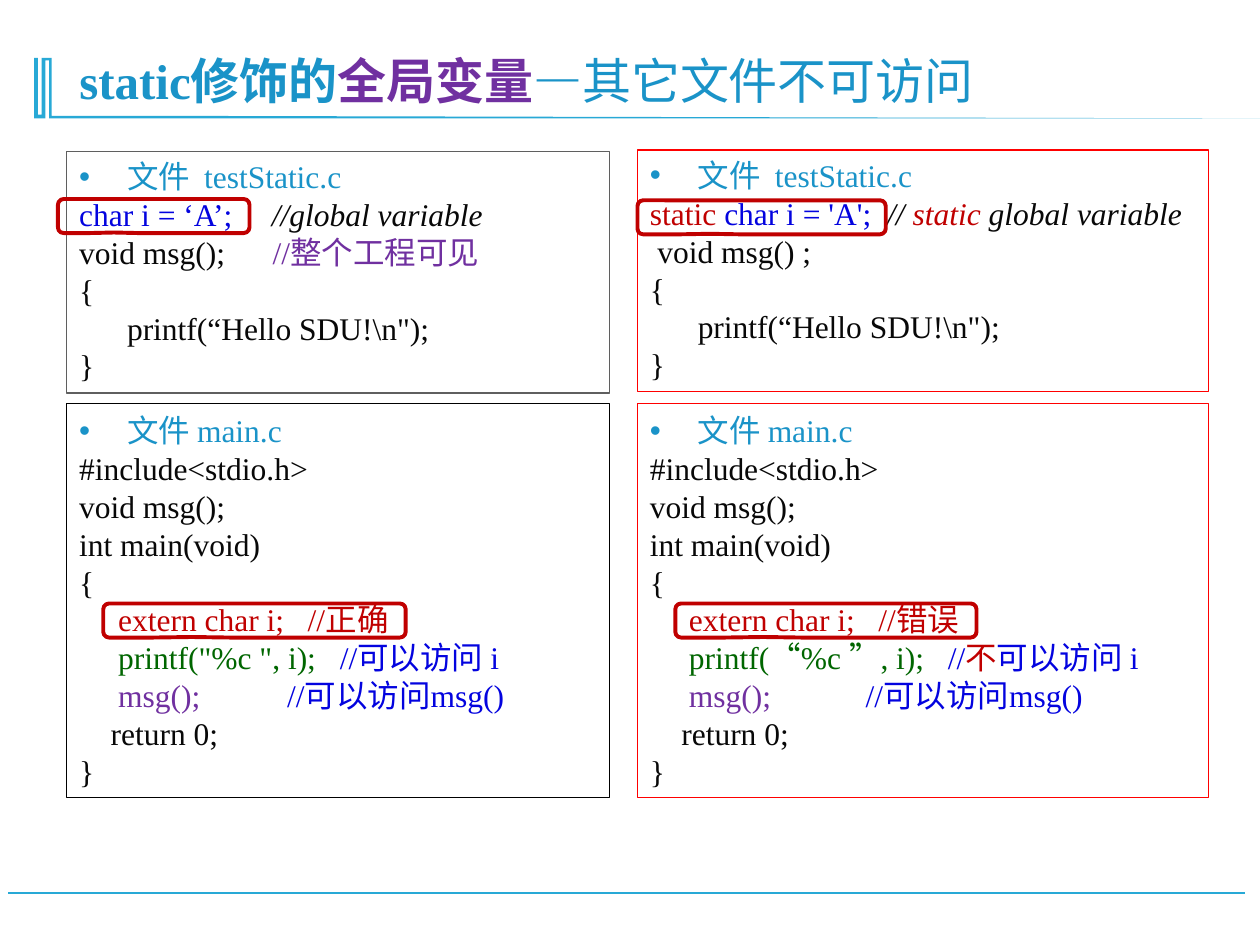
from pptx import Presentation
from pptx.dml.color import RGBColor
from pptx.enum.shapes import MSO_CONNECTOR, MSO_SHAPE
from pptx.enum.text import MSO_ANCHOR, MSO_AUTO_SIZE, PP_ALIGN
from pptx.oxml.ns import qn
from pptx.util import Inches, Pt
from lxml.etree import SubElement

ACCENT = RGBColor(0x28, 0xA9, 0xD6)
TITLE_BLUE = RGBColor(0x1A, 0x93, 0xC8)
PURPLE = RGBColor(0x70, 0x30, 0xA0)
CODE_BLUE = RGBColor(0x03, 0x03, 0xDF)
INK = RGBColor(0x08, 0x08, 0x08)
DARK_RED = RGBColor(0xC0, 0x00, 0x00)
GREEN = RGBColor(0x00, 0x66, 0x00)
GRAY = RGBColor(0x5F, 0x5F, 0x5F)
RED = RGBColor(0xFF, 0x00, 0x00)
BLACK = RGBColor(0x00, 0x00, 0x00)

FONT = "Times New Roman"
LEFT_X, LEFT_WIDTH = 0.53, 4.31
RIGHT_X, RIGHT_WIDTH = 5.06, 4.53
TOP_HEIGHT, MAIN_Y, MAIN_HEIGHT = 1.92, 3.2, 3.13
STATEMENT_INDENT = 0.31


def add_run(paragraph, text, color=INK, size=18, bold=False, italic=False):
    run = paragraph.add_run()
    run.text = text
    font = run.font
    font.name, font.size, font.bold, font.italic = FONT, Pt(size), bold, italic
    font.color.rgb = color


def line(*runs, indent=0):
    """Describe a code line; each run is (text, color[, italic])."""
    return {"runs": runs, "indent": indent}


def plain(text, indent=0):
    return line((text, INK), indent=indent)


def format_paragraph(paragraph, indent=0, hanging=0, bullet=None):
    paragraph.alignment = PP_ALIGN.LEFT
    properties = paragraph._p.get_or_add_pPr()
    properties.set("marL", str(Inches(indent)))
    properties.set("indent", str(-Inches(hanging)))
    if bullet:
        SubElement(properties, qn("a:buFont"), typeface="Arial")
        SubElement(properties, qn("a:buChar"), char=bullet)


def add_outline(slide, preset, box, color, width):
    shape = slide.shapes.add_shape(preset, *map(Inches, box))
    shape.shadow.inherit = False
    shape.fill.background()
    shape.line.color.rgb = color
    shape.line.width = Pt(width)
    return shape


def add_code_panel(slide, box, border, heading, lines, anchor=MSO_ANCHOR.TOP):
    shape = add_outline(slide, MSO_SHAPE.RECTANGLE, box, border, 0.75)
    frame = shape.text_frame
    frame.word_wrap = True
    frame.auto_size = MSO_AUTO_SIZE.SHAPE_TO_FIT_TEXT
    frame.vertical_anchor = anchor
    first = frame.paragraphs[0]
    format_paragraph(first, indent=0.38, hanging=0.38, bullet="•")
    add_run(first, heading, TITLE_BLUE)
    for entry in lines:
        paragraph = frame.add_paragraph()
        format_paragraph(paragraph, indent=entry["indent"])
        for text, color, *italic in entry["runs"]:
            add_run(paragraph, text, color, italic=bool(italic))


def add_static_panel(slide, box, border, declaration, signature):
    body = [plain("{"), plain('printf(“Hello SDU!\\n");', indent=0.38), plain("}")]
    add_code_panel(slide, box, border, "文件  testStatic.c",
                   [declaration, signature, *body])


def add_main_panel(slide, box, border, verdict, print_runs, call):
    lines = [
        plain("#include<stdio.h>"), plain("void msg();"), plain("int main(void)"),
        plain("{"),
        line(("extern char i;   //" + verdict, DARK_RED), indent=STATEMENT_INDENT),
        line(*print_runs, indent=STATEMENT_INDENT),
        line((call, PURPLE), ("//可以访问msg()", CODE_BLUE), indent=STATEMENT_INDENT),
        plain("return 0;", indent=0.25), plain("}"),
    ]
    add_code_panel(slide, box, border, "文件 main.c", lines, MSO_ANCHOR.MIDDLE)


def add_highlight(slide, left, top, width):
    shape = add_outline(slide, MSO_SHAPE.ROUNDED_RECTANGULAR_CALLOUT,
                        (left, top, width, 0.27), DARK_RED, 2.25)
    for index, value in enumerate((-0.208, 0.485, 0.167)):
        shape.adjustments[index] = value


def add_title(slide, box):
    title = slide.shapes.title
    title.left, title.top, title.width, title.height = map(Inches, box)
    frame = title.text_frame
    frame.word_wrap = True
    frame.auto_size = MSO_AUTO_SIZE.NONE
    frame.vertical_anchor = MSO_ANCHOR.BOTTOM
    paragraph = frame.paragraphs[0]
    paragraph.alignment = PP_ALIGN.LEFT
    paragraph.line_spacing = 0.9
    for text, color, bold in (("static修饰的", TITLE_BLUE, True),
                              ("全局变量", PURPLE, True),
                              ("—", TITLE_BLUE, True),
                              ("其它文件不可访问", TITLE_BLUE, False)):
        add_run(paragraph, text, color, size=28, bold=bold)


def add_title_ornament(slide, left, top):
    """Draw the double bar whose foot tapers into a rule under the title."""
    outline = [(0.14, 0), (0.14, 0.46), (1.13, 0.46), (9.82, 0.48), (0.12, 0.48),
               (0.12, 0.02), (0.09, 0.02), (0.09, 0.48), (0, 0.48), (0, 0),
               (0.03, 0), (0.03, 0.45), (0.06, 0.45), (0.06, 0)]
    points = [(Inches(left + x), Inches(top + y)) for x, y in outline]
    builder = slide.shapes.build_freeform(*points[0])
    builder.add_line_segments(points[1:], close=True)
    shape = builder.convert_to_shape()
    shape.shadow.inherit = False
    shape.fill.solid()
    shape.fill.fore_color.rgb = ACCENT
    shape.line.fill.background()


def add_footer_rule(slide, left, right, y):
    rule = slide.shapes.add_connector(
        MSO_CONNECTOR.STRAIGHT, Inches(right), Inches(y), Inches(left), Inches(y))
    rule.line.color.rgb = ACCENT
    rule.line.width = Pt(1.25)
    SubElement(rule._element.spPr, qn("a:effectLst"))


def main():
    presentation = Presentation()
    presentation.slide_width, presentation.slide_height = Inches(10), Inches(7.5)
    slide = presentation.slides.add_slide(presentation.slide_layouts[5])

    add_footer_rule(slide, 0.06, 9.88, 7.09)
    add_title_ornament(slide, 0.27, 0.46)
    add_title(slide, (0.53, 0.28, 8.85, 0.64))

    add_static_panel(
        slide, (LEFT_X, 1.2, LEFT_WIDTH, TOP_HEIGHT), GRAY,
        line(("char i = ‘A’;     ", CODE_BLUE), ("//global variable", INK, True)),
        line(("void msg();      ", INK), ("//整个工程可见", PURPLE)))
    add_static_panel(
        slide, (RIGHT_X, 1.19, RIGHT_WIDTH, TOP_HEIGHT), RED,
        line(("static ", DARK_RED), ("char i = 'A';  ", CODE_BLUE), ("// ", INK, True),
             ("static", DARK_RED, True), (" global variable", INK, True)),
        plain("void msg() ;", indent=0.06))
    add_main_panel(
        slide, (RIGHT_X, MAIN_Y, RIGHT_WIDTH, MAIN_HEIGHT), RED, "错误",
        [("printf(“%c ”, i);   ", GREEN), ("//", CODE_BLUE), ("不", DARK_RED),
         ("可以访问 i", CODE_BLUE)], "msg();            ")
    add_main_panel(
        slide, (LEFT_X, MAIN_Y, LEFT_WIDTH, MAIN_HEIGHT), BLACK, "正确",
        [('printf("%c ", i);   ', GREEN), ("//可以访问 i", CODE_BLUE)],
        "msg();           ")

    for left, top, width in ((RIGHT_X, 1.59, 1.97), (5.36, 4.79, 2.39),
                             (0.46, 1.58, 1.52), (0.82, 4.79, 2.4)):
        add_highlight(slide, left, top, width)

    presentation.save("out.pptx")


if __name__ == "__main__":
    main()
